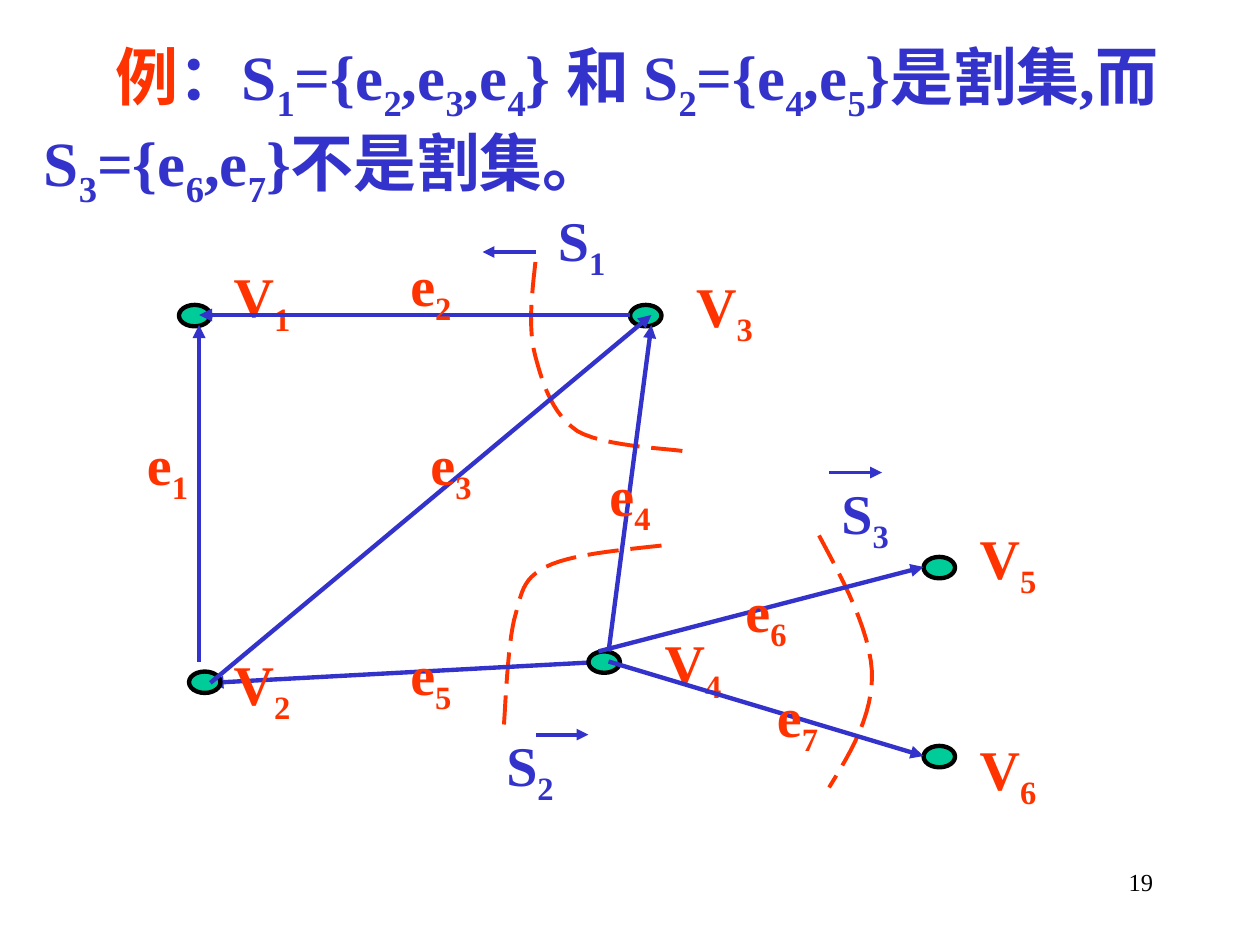
from dataclasses import dataclass

from lxml import etree
from pptx import Presentation
from pptx.dml.color import RGBColor
from pptx.enum.dml import MSO_LINE
from pptx.enum.shapes import MSO_CONNECTOR, MSO_SHAPE
from pptx.enum.text import MSO_ANCHOR, PP_ALIGN
from pptx.oxml.ns import qn
from pptx.util import Inches, Pt

STRAIGHT = MSO_CONNECTOR.STRAIGHT
OVAL = MSO_SHAPE.OVAL
LONG_DASH = MSO_LINE.LONG_DASH
LEFT, CENTER, RIGHT = PP_ALIGN.LEFT, PP_ALIGN.CENTER, PP_ALIGN.RIGHT
TOP, MIDDLE = MSO_ANCHOR.TOP, MSO_ANCHOR.MIDDLE


@dataclass(frozen=True)
class Theme:
    font: str = "Times New Roman"
    red: RGBColor = RGBColor(0xFF, 0x33, 0x00)
    blue: RGBColor = RGBColor(0x33, 0x33, 0xCC)
    green: RGBColor = RGBColor(0x00, 0xCC, 0x99)
    black: RGBColor = RGBColor(0x00, 0x00, 0x00)
    statement_size: float = 36
    label_size: float = 32
    page_size: float = 14
    edge_width: float = 2.5
    cut_width: float = 2.25


class GraphSlide:
    def __init__(self, slide, theme):
        self.shapes = slide.shapes
        self.theme = theme

    def text(self, box, pieces, size, align=LEFT, anchor=TOP, wrap=True,
             bold=True, indent=0, side_margin=0.1):
        frame = self.shapes.add_textbox(*map(Inches, box)).text_frame
        layout = {"word_wrap": wrap, "vertical_anchor": anchor,
                  "margin_left": Inches(side_margin),
                  "margin_right": Inches(side_margin)}
        for name, value in layout.items():
            setattr(frame, name, value)
        paragraph = frame.paragraphs[0]
        paragraph.alignment = align
        if indent:
            paragraph._p.get_or_add_pPr().set("indent", str(Inches(indent)))
        for words, color in pieces:
            base, *subscripted = words.split("_")
            self.run(paragraph, base, size, color, bold)
            for part in subscripted:
                self.run(paragraph, part[0], size, color, bold, subscript=True)
                if part[1:]:
                    self.run(paragraph, part[1:], size, color, bold)

    def run(self, paragraph, words, size, color, bold, subscript=False):
        run = paragraph.add_run()
        run.text = words
        style = {"name": self.theme.font, "size": Pt(size), "bold": bold}
        for name, value in style.items():
            setattr(run.font, name, value)
        run.font.color.rgb = color
        if subscript:
            run._r.get_or_add_rPr().set("baseline", "-25000")

    def label(self, words, left, top):
        self.text((left, top, 0.5, 0.42), [(words, self.theme.red)],
                  self.theme.label_size, CENTER, MIDDLE, wrap=False, side_margin=0)

    def cut_label(self, words, left, top, width):
        self.text((left, top, width, 0.71), [(words, self.theme.blue)],
                  self.theme.label_size)

    def stroke(self, line, color, width):
        line.color.rgb = color
        line.width = Pt(width)

    def vertex(self, left, top):
        node = self.shapes.add_shape(OVAL, *map(Inches, (left, top, 0.25, 0.17)))
        node.shadow.inherit = False
        node.fill.solid()
        node.fill.fore_color.rgb = self.theme.green
        self.stroke(node.line, self.theme.black, self.theme.edge_width)

    def arrow(self, start, end, width):
        edge = self.shapes.add_connector(STRAIGHT, *map(Inches, start + end))
        self.stroke(edge.line, self.theme.blue, width)
        etree.SubElement(edge.line._get_or_add_ln(), qn("a:tailEnd"), type="triangle")
        etree.SubElement(edge._element.spPr, qn("a:effectLst"))

    def cut_curve(self, controls, steps=12):
        points = []
        for first in range(0, len(controls) - 1, 3):
            segment = controls[first:first + 4]
            for step in range(1, steps + 1):
                t = step / steps
                weights = ((1 - t) ** 3, 3 * t * (1 - t) ** 2, 3 * t * t * (1 - t), t ** 3)
                points.append(tuple(
                    Inches(sum(w * p[axis] for w, p in zip(weights, segment)))
                    for axis in (0, 1)))
        builder = self.shapes.build_freeform(*map(Inches, controls[0]))
        builder.add_line_segments(points, close=False)
        curve = builder.convert_to_shape()
        curve.shadow.inherit = False
        curve.fill.background()
        self.stroke(curve.line, self.theme.red, self.theme.cut_width)
        curve.line.dash_style = LONG_DASH


CUT_CURVES = [
    [(4.25, 2.08), (4.22, 2.35), (4.19, 2.61), (4.25, 2.83), (4.31, 3.06),
     (4.39, 3.29), (4.58, 3.42), (4.78, 3.54), (5.28, 3.56), (5.42, 3.58)],
    [(5.25, 4.33), (4.89, 4.37), (4.53, 4.4), (4.33, 4.5), (4.14, 4.6),
     (4.14, 4.71), (4.08, 4.92), (4.03, 5.13), (4.01, 5.61), (4, 5.75)],
    [(6.5, 4.25), (6.7, 4.62), (6.9, 5), (6.92, 5.33), (6.93, 5.67),
     (6.76, 5.96), (6.58, 6.25)],
]
VERTICES = [(1.42, 2.42), (5, 2.42), (1.5, 5.33), (4.67, 5.17), (7.33, 4.42), (7.33, 5.92)]
VERTEX_LABELS = [("V_1", 1.83, 2.17), ("V_3", 5.5, 2.25), ("V_2", 1.83, 5.25),
                 ("V_4", 5.25, 5.08), ("V_5", 7.75, 4.25), ("V_6", 7.75, 5.92)]
EDGE_BEHIND = ((4.83, 5.25), (1.67, 5.42))
EDGES = [((1.58, 5.25), (1.58, 2.58)), ((5, 2.5), (1.58, 2.5)),
         ((1.67, 5.42), (5.17, 2.5)), ((4.83, 5.17), (5.17, 2.58)),
         ((4.75, 5.17), (7.33, 4.5)), ((4.83, 5.25), (7.33, 6))]
EDGE_LABELS = [("e_1", 1.08, 3.5), ("e_2", 3.17, 2.08), ("e_3", 3.33, 3.5),
               ("e_4", 4.75, 3.75), ("e_5", 3.17, 5.17), ("e_6", 5.83, 4.67),
               ("e_7", 6.08, 5.5)]
CUT_LABELS = [("S_1", 4.33, 1.58, 0.67), ("S_2", 3.92, 5.75, 0.67), ("S_3", 6.58, 3.75, 0.75)]
CUT_DIRECTIONS = [((4.25, 2), (3.83, 2)), ((4.25, 5.83), (4.67, 5.83)),
                  ((6.58, 3.75), (7, 3.75))]


def main():
    theme = Theme()
    deck = Presentation()
    deck.slide_width, deck.slide_height = Inches(10), Inches(7.5)
    graph = GraphSlide(deck.slides.add_slide(deck.slide_layouts[6]), theme)

    statement = "：S_1={e_2,e_3,e_4} 和 S_2={e_4,e_5}是割集,而S_3={e_6,e_7}不是割集。"
    graph.text((0.25, 0.25, 9.33, 1.5), [("例", theme.red), (statement, theme.blue)],
               theme.statement_size, indent=0.57)
    for controls in CUT_CURVES:
        graph.cut_curve(controls)
    graph.arrow(*EDGE_BEHIND, theme.edge_width)
    for position in VERTICES:
        graph.vertex(*position)
    for vertex_label in VERTEX_LABELS:
        graph.label(*vertex_label)
    for start, end in EDGES:
        graph.arrow(start, end, theme.edge_width)
    for edge_label in EDGE_LABELS:
        graph.label(*edge_label)
    for cut_label in CUT_LABELS:
        graph.cut_label(*cut_label)
    for start, end in CUT_DIRECTIONS:
        graph.arrow(start, end, theme.cut_width)
    graph.text((7.17, 6.83, 2.08, 0.5), [("19", theme.black)],
               theme.page_size, RIGHT, bold=False)

    deck.save("out.pptx")


if __name__ == "__main__":
    main()
